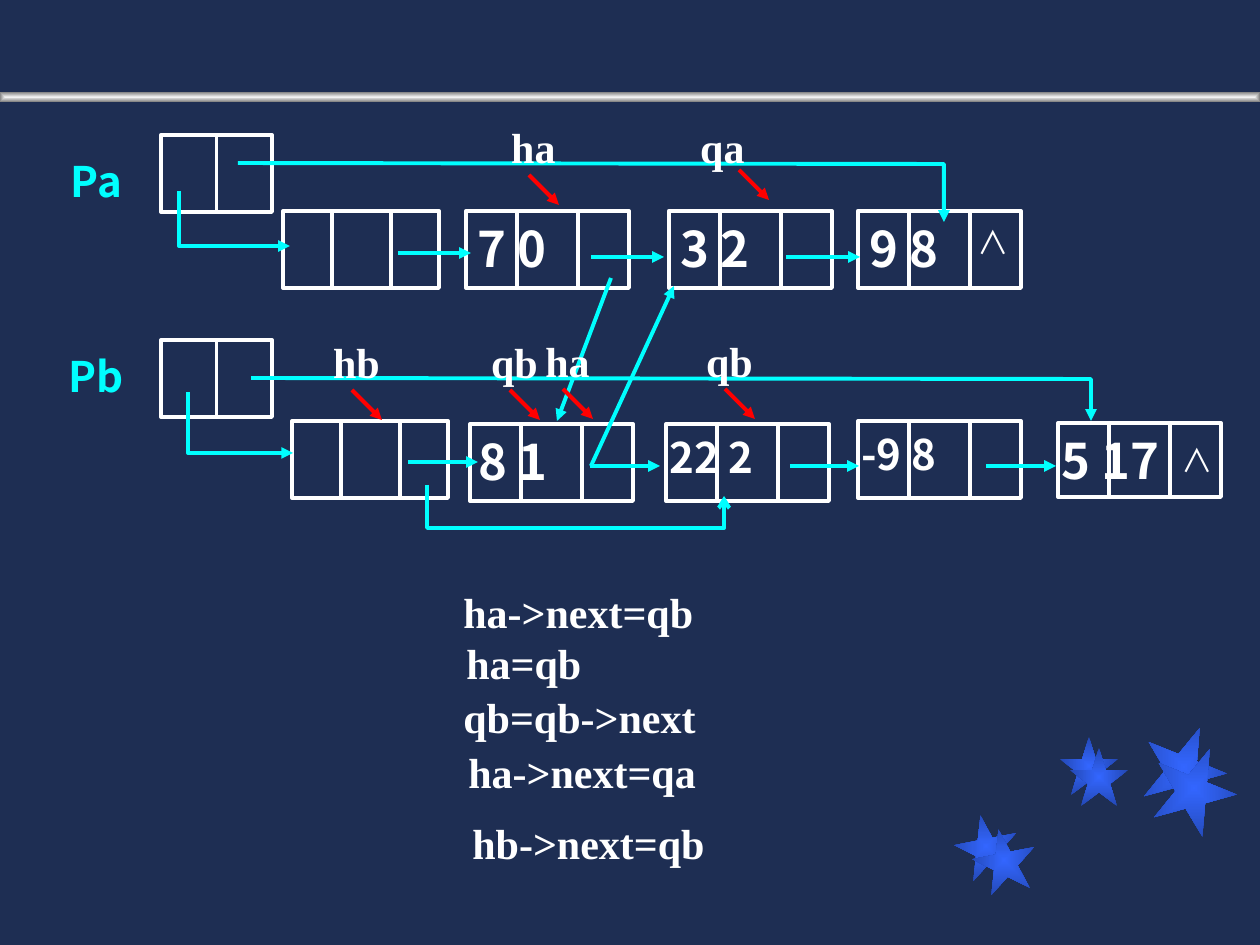
import pptx
import pptx.dml.color
import pptx.enum.shapes
import pptx.enum.text
import pptx.oxml
import pptx.oxml.ns
import pptx.util

EMU_PER_PX = 914400 / 126
SANS, SERIF = "Noto Sans CJK SC", "Times New Roman"
COLORS = {
    "background": "1E2E53", "white": "FFFFFF", "cyan": "00FFFF", "red": "FF0000",
    "star": "3366FF", "star_edge": "2449B6", "bar": "F2F2F2", "bar_edge": "808080",
}
SHAPE = pptx.enum.shapes.MSO_SHAPE
CONNECTOR = pptx.enum.shapes.MSO_CONNECTOR
CENTER = pptx.enum.text.PP_ALIGN.CENTER
qn = pptx.oxml.ns.qn
NS = pptx.oxml.ns.nsdecls("a")


def px(n):
    return pptx.util.Emu(round(n * EMU_PER_PX))


def rgb(name):
    return pptx.dml.color.RGBColor.from_string(COLORS[name])


def style_line(s, color, head=None):
    s.line.color.rgb = rgb(color)
    s.line.width = pptx.util.Pt(2.25)
    if head:
        ln = s.element.spPr.find(qn("a:ln"))
        ln.append(pptx.oxml.parse_xml(f'<a:tailEnd {NS} type="{head}"/>'))


def add_gradient(slide, kind, box, inner, outer, rotation=0):
    s = slide.shapes.add_shape(kind, *map(px, box))
    s.shadow.inherit = False
    s.rotation = rotation
    s.line.fill.background()
    s.fill.gradient()
    for stop, color in zip(s.fill.gradient_stops, (inner, outer)):
        stop.color.rgb = rgb(color)
    for stop, position in zip(s.fill.gradient_stops, (0, 1)):
        stop.position = position
    grad = s.element.spPr.find(qn("a:gradFill"))
    grad.replace(grad.find(qn("a:lin")), pptx.oxml.parse_xml(
        f'<a:path {NS} path="shape">'
        '<a:fillToRect l="50000" t="50000" r="50000" b="50000"/></a:path>'))


def add_text(slide, text, box, size=24, font=SANS, color="white", bold=True,
             align=None, wrap=True, indent=0):
    s = slide.shapes.add_textbox(*map(px, box))
    tf = s.text_frame
    tf.word_wrap = wrap
    tf.auto_size = pptx.enum.text.MSO_AUTO_SIZE.SHAPE_TO_FIT_TEXT
    tf.margin_left += px(indent)
    tf.text = text
    p = tf.paragraphs[0]
    p.alignment = align
    r = p.runs[0]
    r.font.size = pptx.util.Pt(size)
    r.font.bold = bold
    r.font.name = font
    r.font.color.rgb = rgb(color)
    r.font._element.append(pptx.oxml.parse_xml(f'<a:ea {NS} typeface="{font}"/>'))


def add_line(slide, x1, y1, x2, y2, color="white", head=None, kind=CONNECTOR.STRAIGHT):
    c = slide.shapes.add_connector(kind, px(x1), px(y1), px(x2), px(y2))
    style_line(c, color, head)
    c.element.spPr.append(pptx.oxml.parse_xml(f"<a:effectLst {NS}/>"))
    return c


def add_arrow(slide, x1, y1, x2, y2, color="cyan"):
    add_line(slide, x1, y1, x2, y2, color, "triangle")


def add_path(slide, start, *points):
    builder = slide.shapes.build_freeform(*start, scale=EMU_PER_PX)
    builder.add_line_segments(points, close=False)
    s = builder.convert_to_shape()
    s.shadow.inherit = False
    s.fill.background()
    style_line(s, "cyan", "triangle")


def add_frame(slide, x, y, w, h):
    s = slide.shapes.add_shape(SHAPE.RECTANGLE, *map(px, (x, y, w, h)))
    s.shadow.inherit = False
    s.fill.background()
    style_line(s, "white")
    return s


def add_head(slide, name, x, y, label_y):
    frame = add_frame(slide, x, y, 111, 77)
    divider = add_line(slide, x + 55, y, x + 55, y + 77)
    divider.begin_connect(frame, 0)
    divider.end_connect(frame, 2)
    add_text(slide, name, (39, label_y, 115, 64), color="cyan", align=CENTER)


def add_node(slide, x, y, text="", size=28, indent=0, w=163, h=77, cells=(51, 112)):
    add_frame(slide, x, y, w, h)
    for offset in cells:
        add_line(slide, x + offset, y, x + offset, y + h)
    if text:
        add_text(slide, text, (x - 9, y + 1, 164, 72 if size == 28 else 64),
                 size, indent=indent)


def add_pointer(slide, name, x, y, dx=60, dy=60):
    add_arrow(slide, x + dx, y + dy, x + dx + 30, y + dy + 30, "red")
    add_text(slide, name, (x, y, 129, 79), font=SERIF, align=CENTER)


def add_return_link(slide, x1, y1, x2, y2, low):
    """Elbow that leaves downwards, runs along y = low and ends upwards."""
    c = add_line(slide, x1, y1, x2, y2, "cyan", "arrow", CONNECTOR.ELBOW)
    w, h = y2 - y1, x2 - x1
    c.left, c.top = px((x1 + x2 - w) / 2), px((y1 + y2 - h) / 2)
    c.width, c.height = px(w), px(h)
    xfrm = c.element.spPr.find(qn("a:xfrm"))
    xfrm.set("rot", str(270 * 60000))
    xfrm.set("flipH", "1")
    geom = c.element.spPr.find(qn("a:prstGeom"))
    for old in geom.findall(qn("a:avLst")):
        geom.remove(old)
    bend = round(100000 * (low - y1) / w)
    geom.append(pptx.oxml.parse_xml(
        f'<a:avLst {NS}><a:gd name="adj1" fmla="val {bend}"/></a:avLst>'))


def add_decoration(slide):
    for x, y, size, rotation in (
            (955, 815, 63, 349), (1060, 737, 58, 0), (1142, 725, 84, 22),
            (973, 829, 63, 349), (1070, 748, 58, 0), (1152, 746, 84, 22)):
        add_gradient(slide, SHAPE.STAR_5_POINT, (x, y, size, size),
                     "star", "star_edge", rotation)
    add_gradient(slide, SHAPE.RECTANGLE, (0, 92, 1260, 10), "bar", "bar_edge")


def main():
    prs = pptx.Presentation()
    prs.slide_width, prs.slide_height = px(1260), px(945)
    slide = prs.slides.add_slide(prs.slide_layouts[6])
    slide.background.fill.solid()
    slide.background.fill.fore_color.rgb = rgb("background")
    add_decoration(slide)

    # List Pb
    add_head(slide, "Pb", 161, 340, 344)
    add_node(slide, 292, 421, w=156, cells=(49, 108))
    add_node(slide, 470, 424, "8 1", indent=5)
    add_node(slide, 666, 424, "22 2", 24)
    add_node(slide, 858, 421, "-9 8", 24)
    add_node(slide, 1058, 423, "5 17", h=74)
    add_text(slide, "∧", (1169, 435, 37, 50), 18, bold=False)
    add_path(slide, (188, 392), (188, 453), (293, 453))
    add_path(slide, (251, 378), (1091, 379), (1091, 421))

    # List Pa
    add_head(slide, "Pa", 161, 135, 149)
    add_node(slide, 283, 211, w=156, cells=(49, 108))
    for x, text in ((466, "7 0"), (669, "3 2"), (858, "9 8")):
        add_node(slide, x, 211, text, indent=8)
    add_text(slide, "∧", (965, 217, 57, 50), 18, bold=False, align=CENTER, wrap=False)
    add_path(slide, (179, 191), (179, 246), (290, 246))
    add_path(slide, (238, 163), (944, 164), (944, 222))

    # Links between nodes
    for x1, x2, y in ((398, 471, 253), (591, 664, 257), (786, 860, 257),
                      (408, 478, 462), (590, 660, 466), (790, 859, 466), (986, 1056, 466)):
        add_arrow(slide, x1, y, x2, y)
    add_arrow(slide, 611, 278, 557, 421)
    add_arrow(slide, 591, 466, 674, 286)
    add_return_link(slide, 427, 485, 724, 496, low=528)

    # Named pointers
    add_pointer(slide, "ha", 469, 115)
    add_pointer(slide, "qa", 658, 115, dx=81, dy=55)
    for name, x, y in (("hb", 292, 330), ("ha", 503, 329), ("qb", 450, 330), ("qb", 665, 329)):
        add_pointer(slide, name, x, y)

    # Merge steps
    for code, x, y in (("ha->next=qb", 451, 580), ("ha=qb", 454, 631),
                       ("qb=qb->next", 451, 685), ("ha->next=qa", 456, 740),
                       ("hb->next=qb", 460, 811)):
        add_text(slide, code, (x, y, 543, 63), font=SERIF)

    prs.save("out.pptx")


if __name__ == "__main__":
    main()
